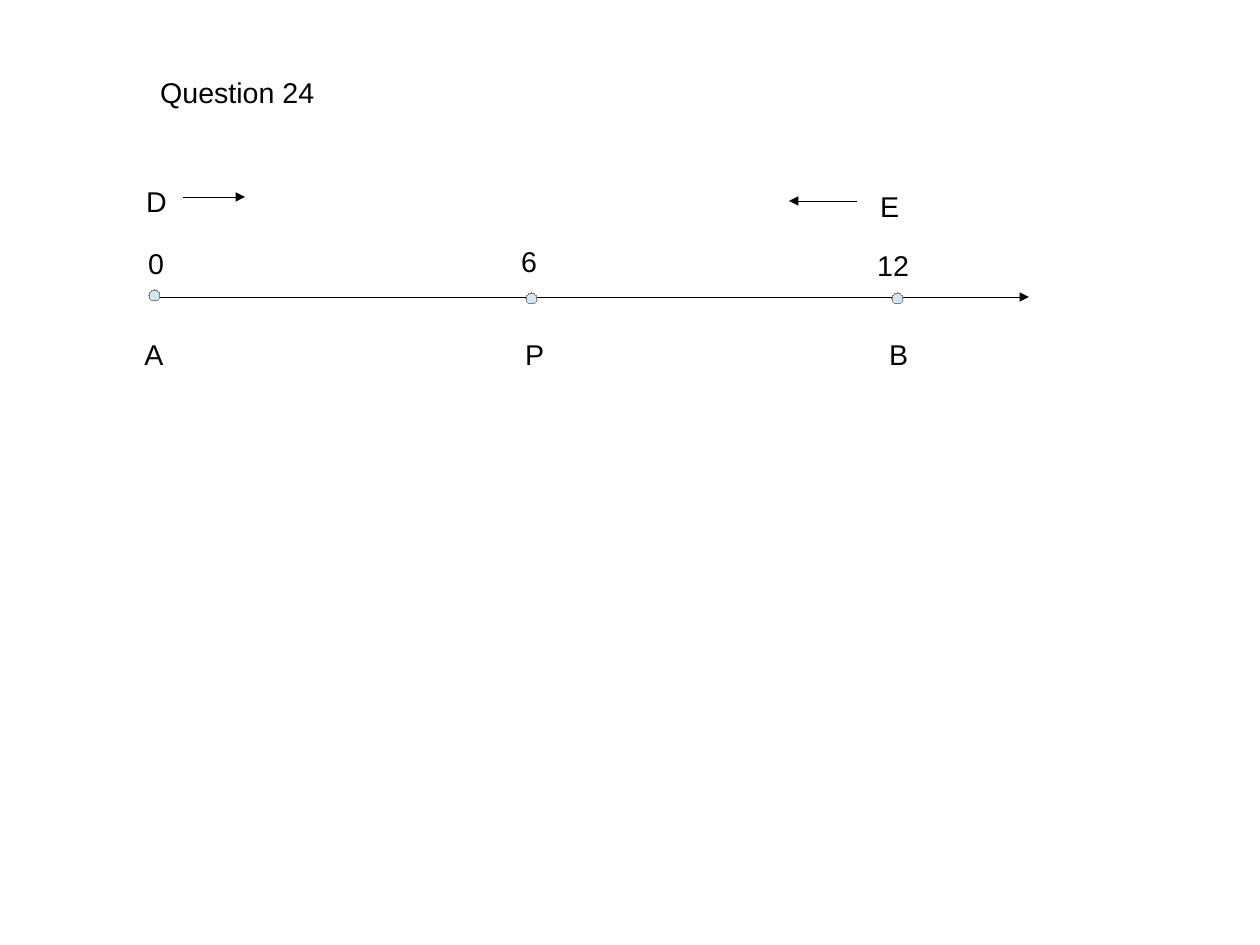
"""Build the Question 24 slide: a number line with two moving points."""
from lxml import etree
from pptx import Presentation
from pptx.dml.color import RGBColor
from pptx.enum.shapes import MSO_CONNECTOR, MSO_SHAPE
from pptx.enum.text import MSO_AUTO_SIZE
from pptx.oxml.ns import qn
from pptx.util import Pt

STRAIGHT = MSO_CONNECTOR.STRAIGHT
OVAL = MSO_SHAPE.OVAL
FIT = MSO_AUTO_SIZE.SHAPE_TO_FIT_TEXT
PX = 8000
DOT = 11
HIGH = 43
COLORS = {"ink": "000000", "dot": "CFE7F5", "edge": "808080"}


def color(name):
    return RGBColor.from_string(COLORS[name])


def hairline(shape, name):
    shape.line.color.rgb = color(name)
    line = shape._element.spPr.find(qn("a:ln"))
    line.set("w", "0")
    return line


deck = Presentation()
deck.slide_width = 1260 * PX
deck.slide_height = 945 * PX
slide = deck.slides.add_slide(deck.slide_layouts[6])
shapes = slide.shapes

arrows = [(149, 1029, 297), (183, 245, 197), (857, 789, 201)]
for start, end, y in arrows:
    arrow = shapes.add_connector(STRAIGHT, start * PX, y * PX, end * PX, y * PX)
    line = hairline(arrow, "ink")
    etree.SubElement(line, qn("a:tailEnd"), type="triangle")
    etree.SubElement(arrow._element.spPr, qn("a:effectLst"))

for x, y in [(149, 290), (526, 293), (892, 293)]:
    dot = shapes.add_shape(OVAL, x * PX, y * PX, DOT * PX, DOT * PX)
    dot.shadow.inherit = False
    dot.fill.solid()
    dot.fill.fore_color.rgb = color("dot")
    hairline(dot, "edge")

labels = [
    ("Question 24", 149, 69, 177),
    ("D", 135, 178, 43),
    ("E", 869, 183, 41),
    ("0", 137, 240, 39),
    ("6", 510, 238, 39),
    ("12", 866, 242, 55),
    ("A", 133, 331, 41),
    ("P", 514, 331, 41),
    ("B", 878, 331, 41),
]
for text, x, y, wide in labels:
    box = shapes.add_textbox(x * PX, y * PX, wide * PX, HIGH * PX)
    frame = box.text_frame
    frame.word_wrap = False
    frame.auto_size = FIT
    para = frame.paragraphs[0]
    para.text = text
    para.font.name = "Arial"
    para.font.size = Pt(18)
    para.font.color.rgb = color("ink")

deck.save("out.pptx")
